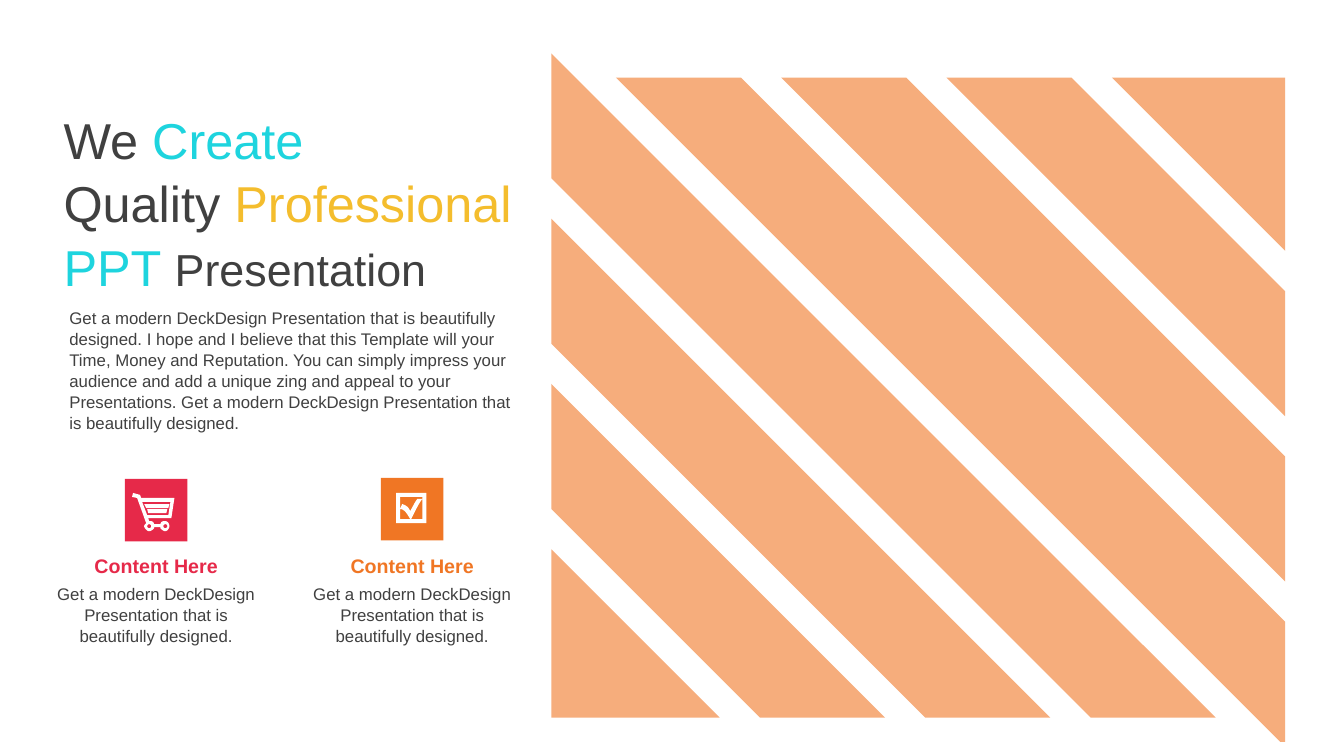
"""Builds the "We Create Quality Professional PPT Presentation" slide."""
from math import cos, pi, sin

from pptx import Presentation
from pptx.dml.color import RGBColor
from pptx.enum.shapes import MSO_SHAPE
from pptx.enum.text import MSO_ANCHOR, MSO_AUTO_SIZE, PP_ALIGN
from pptx.util import Inches, Pt

RECTANGLE = MSO_SHAPE.RECTANGLE
TOP, MIDDLE = MSO_ANCHOR.TOP, MSO_ANCHOR.MIDDLE
FIT_SHAPE = MSO_AUTO_SIZE.SHAPE_TO_FIT_TEXT
LEFT, CENTER = PP_ALIGN.LEFT, PP_ALIGN.CENTER

WHITE = RGBColor(0xFF, 0xFF, 0xFF)
GRAY = RGBColor(0x40, 0x40, 0x40)
CYAN = RGBColor(0x1E, 0xD4, 0xDE)
YELLOW = RGBColor(0xF4, 0xBD, 0x2D)
ORANGE = RGBColor(0xF0, 0x76, 0x24)
RED = RGBColor(0xE6, 0x29, 0x49)
PEACH = RGBColor(0xF6, 0xAD, 0x7C)

COLUMNS, ROWS = 160, 90
TILE = 7.44
ICON_UNITS = 62
FEATURE_WIDTH = 28.8

SUMMARY = "Get a modern DeckDesign Presentation that is beautifully designed."
PITCH = (SUMMARY + " I hope and I believe that this Template will your Time, Money and "
         "Reputation. You can simply impress your audience and add a unique zing and "
         "appeal to your Presentations. " + SUMMARY)
TITLE = [
    [("We ", 36, GRAY), ("Create", 36, CYAN)],
    [("Quality ", 36, GRAY), ("Professional", 36, YELLOW)],
    [("PPT ", 36, CYAN), ("Presentation", 32, GRAY)],
]


def square(start, end):
    """Return the corners of a square between two diagonal positions."""
    return [(start, start), (end, start), (end, end), (start, end)]


def circle(x, y, radius, steps=16):
    """Return points around a circle."""
    angles = [2 * pi * step / steps for step in range(steps)]
    return [(x + radius * cos(angle), y + radius * sin(angle)) for angle in angles]


CHECKBOX = [
    square(15, 45),
    square(19, 41),
    [(19, 31), (21, 26), (26, 28, 27, 29, 29, 33), (32, 28, 33, 25, 36, 21), (41, 21),
     (37, 26, 33, 35, 30, 41), (29, 41), (27, 38, 24, 31, 19, 31)],
]
CART = [
    [(8, 14), (15, 16), (16, 19), (49, 19), (46, 39), (23, 39), (24, 42),
     (26, 42, 27, 42, 28, 43), (29, 45), (35, 45), (36, 43), (37, 42, 38, 42, 40, 42),
     (42, 42, 44, 44, 44, 47), (44, 49, 42, 52, 40, 52), (38, 52, 36, 50, 35, 49),
     (35, 48), (29, 48), (29, 49), (28, 50, 26, 52, 24, 52), (22, 52, 19, 49, 19, 47),
     (19, 46, 20, 45, 20, 45), (21, 44), (12, 19), (7, 18)],
    [(17, 23), (22, 36), (43, 36), (45, 23)],
    [(19, 25), (44, 25), (43, 29), (21, 29)],
    [(22, 30), (42, 30), (41, 34), (23, 34)],
    circle(24, 47, 2),
    circle(40, 47, 2),
]


def flatten(contour, steps=8):
    """Return the contour with each cubic curve turned into short lines."""
    points = []
    for entry in contour:
        if len(entry) == 2:
            points.append(entry)
            continue
        knots = [points[-1], entry[:2], entry[2:4], entry[4:]]
        for step in range(1, steps + 1):
            t = step / steps
            weights = ((1 - t) ** 3, 3 * t * (1 - t) ** 2, 3 * t * t * (1 - t), t ** 3)
            points.append(tuple(sum(weight * knot[axis] for weight, knot in zip(weights, knots))
                                for axis in (0, 1)))
    return points


def diagonal_bands():
    """Return the eight 45-degree bands clipped to the panel."""
    left, right, top, bottom = 65.64, 153, 9.24, 85.44
    first, pitch, thickness = 6.36, 19.68, 14.88
    width = right - left
    bands = []
    for index in range(-4, 4):
        upper = top - width if index == -4 else first + index * pitch
        lower = bottom if index == 3 else first + index * pitch + thickness
        ceiling = first if index == 0 else top
        floor = 88.32 if index == -1 else bottom
        starts, ends = [], []
        for intercept in (upper, lower):
            start, end = max(intercept, ceiling), min(intercept + width, floor)
            starts.append((left + start - intercept, start))
            ends.append((left + end - intercept, end))
        corner = [(right, floor)] if index == -1 else []
        bands.append([starts[0], ends[0]] + corner + [ends[1], starts[1]])
    return bands


class SlideBuilder:
    """Draws styled elements on a slide divided into columns and rows."""

    font_style = {"name": "Arial", "bold": False}
    frame_style = {"word_wrap": True, "auto_size": FIT_SHAPE}

    def __init__(self, presentation):
        """Add a titled slide and measure its grid."""
        self.slide = presentation.slides.add_slide(presentation.slide_layouts[5])
        self.column = presentation.slide_width / COLUMNS
        self.row = presentation.slide_height / ROWS

    def place(self, *lengths):
        """Turn alternating column and row lengths into slide units."""
        units = (self.column, self.row) * (len(lengths) // 2)
        return [round(length * unit) for length, unit in zip(lengths, units)]

    def paint(self, shape, color):
        """Give a shape a plain fill."""
        shape.shadow.inherit = False
        shape.fill.solid()
        shape.fill.fore_color.rgb = color
        shape.line.fill.background()

    def set_paragraphs(self, shape, paragraphs, alignment=LEFT, frame_formats=None, **formats):
        """Fill a shape with paragraphs of (text, size, color) runs."""
        frame = shape.text_frame
        for name, value in {**self.frame_style, **(frame_formats or {})}.items():
            setattr(frame, name, value)
        for index, runs in enumerate(paragraphs):
            paragraph = frame.add_paragraph() if index else frame.paragraphs[0]
            paragraph.alignment = alignment
            paragraph.line_spacing = 1.05
            for text, size, color in runs:
                run = paragraph.add_run()
                run.text = text
                for name, value in {**self.font_style, **formats, "size": Pt(size)}.items():
                    setattr(run.font, name, value)
                run.font.color.rgb = color

    def title(self, box, paragraphs):
        """Move the title placeholder and fill it."""
        shape = self.slide.shapes.title
        shape.left, shape.top, shape.width, shape.height = self.place(*box)
        margins = {"margin_left": Inches(0.04), "margin_right": Inches(0.04),
                   "margin_top": 0, "margin_bottom": 0}
        self.set_paragraphs(shape, paragraphs,
                            frame_formats={"vertical_anchor": MIDDLE, **margins})

    def text(self, box, text, size, color, alignment=LEFT, anchor=TOP, **formats):
        """Add a text box with one run."""
        shape = self.slide.shapes.add_textbox(*self.place(*box))
        self.set_paragraphs(shape, [[(text, size, color)]], alignment,
                            {"vertical_anchor": anchor}, **formats)

    def outline(self, contours, color, origin=(0, 0), scale=1):
        """Add one filled freeform made of several contours."""
        builder = None
        for contour in contours:
            start, *others = [self.place(origin[0] + x * scale, origin[1] + y * scale)
                              for x, y in flatten(contour)]
            if builder is None:
                builder = self.slide.shapes.build_freeform(*start)
            else:
                builder.move_to(*start)
            builder.add_line_segments(others, close=True)
        self.paint(builder.convert_to_shape(), color)

    def feature(self, left, tile_top, icon, color):
        """Add an icon tile with its heading and summary."""
        origin = (left + (FEATURE_WIDTH - TILE) / 2, tile_top)
        tile = self.slide.shapes.add_shape(RECTANGLE, *self.place(*origin, TILE, TILE))
        self.paint(tile, color)
        self.outline(icon, WHITE, origin, TILE / ICON_UNITS)
        self.text((left, 65.28, FEATURE_WIDTH, 4.08), "Content Here", 14, color,
                  CENTER, MIDDLE, bold=True)
        self.text((left, 68.76, FEATURE_WIDTH, 8.52), SUMMARY, 12, GRAY, CENTER)


def main():
    """Build and save the presentation."""
    presentation = Presentation()
    presentation.slide_width, presentation.slide_height = Inches(13.33), Inches(7.5)
    builder = SlideBuilder(presentation)
    builder.outline(diagonal_bands(), PEACH)
    builder.title((7.08, 13, 56.76, 21.84), TITLE)
    builder.text((7.08, 35.88, 56.4, 15.72), PITCH, 12, GRAY)
    builder.feature(4.2, 57, CART, RED)
    builder.feature(34.68, 56.88, CHECKBOX, ORANGE)
    presentation.save("out.pptx")


if __name__ == "__main__":
    main()
